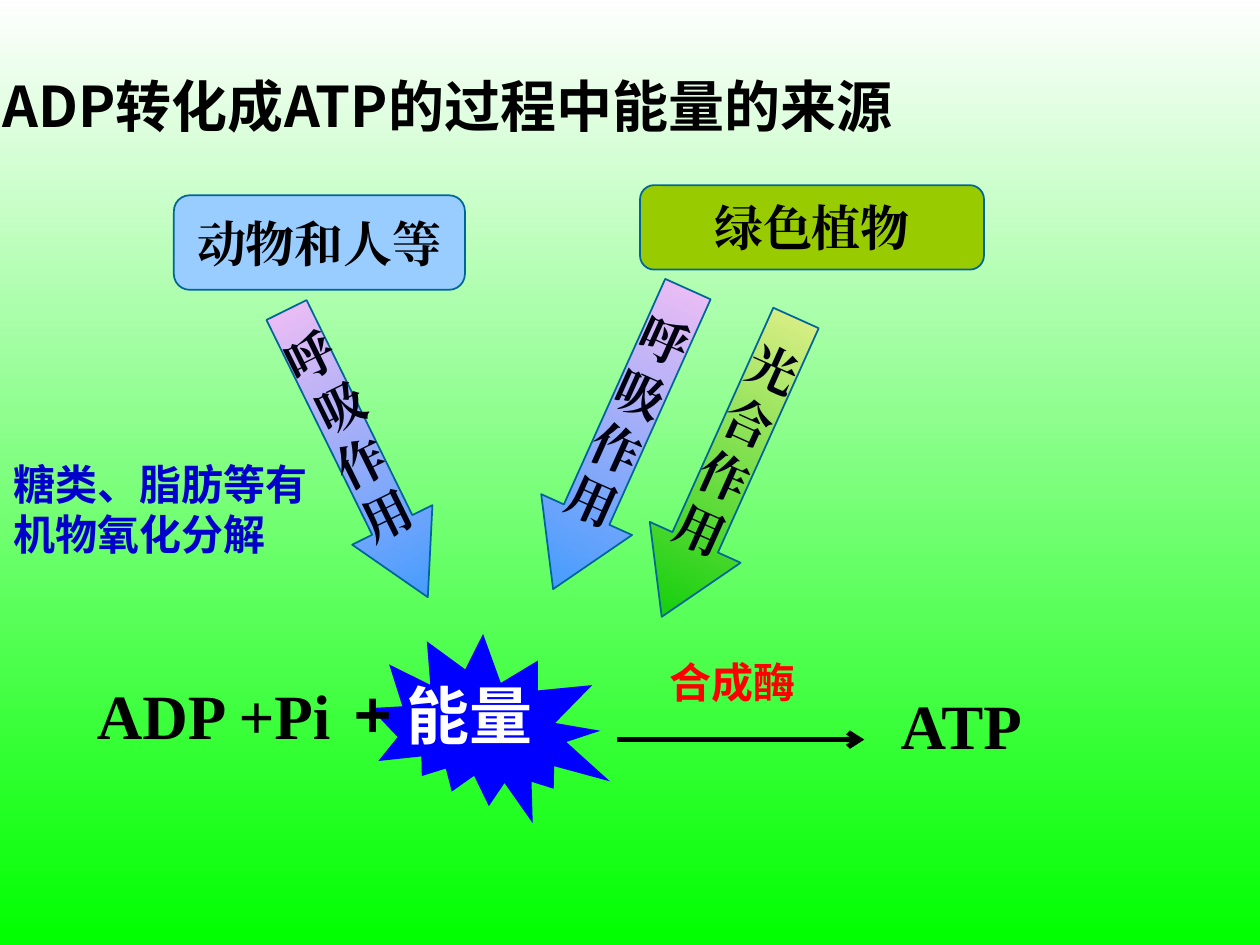
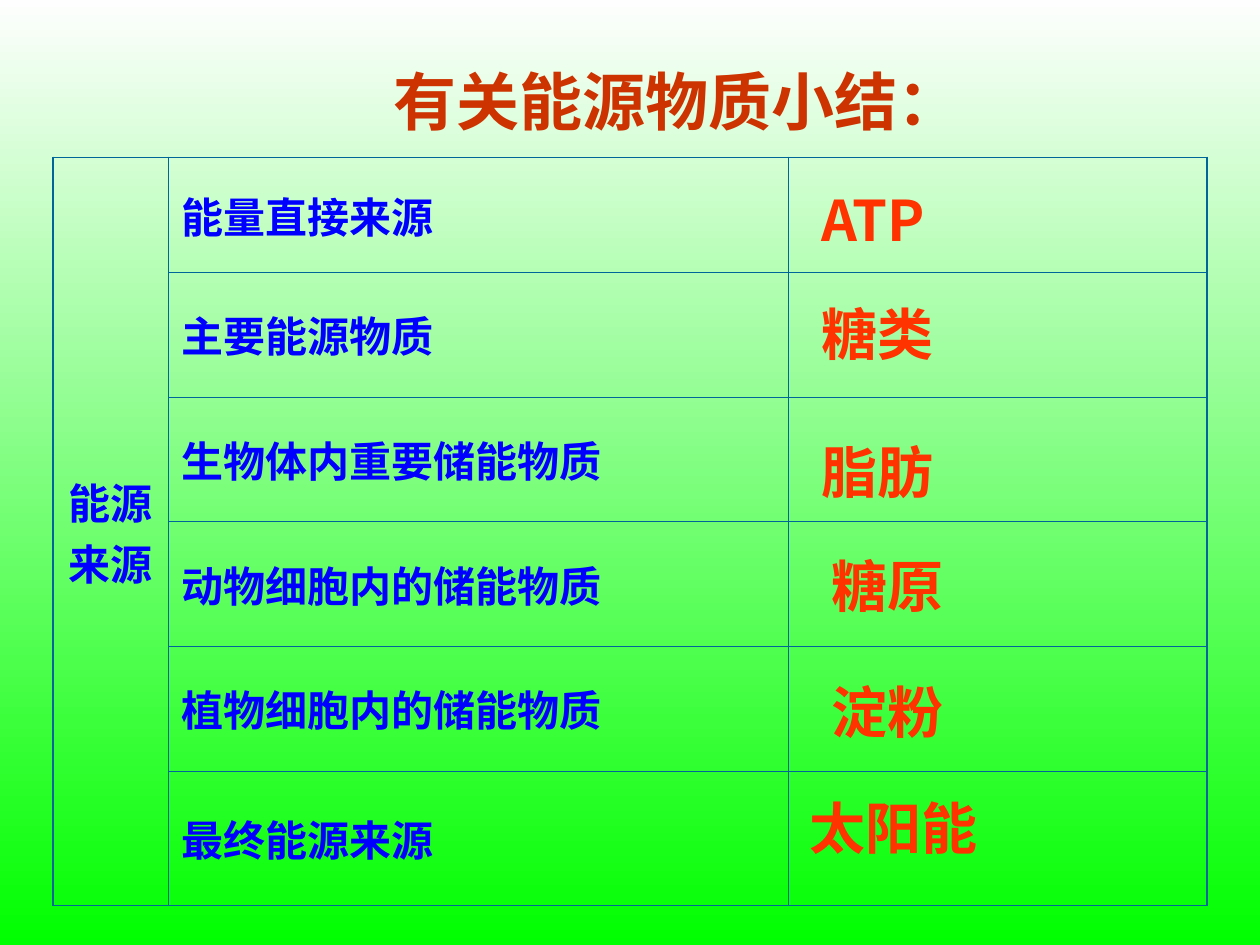
from lxml import etree
from pptx import Presentation
from pptx.dml.color import RGBColor
from pptx.enum import shapes, text
from pptx.oxml import ns
from pptx.util import Inches, Pt

COLORS = {
    "sky": "FEFEFE", "grass": "00FF00", "border": "006699",
    "animal": "99CCFF", "plant": "99CC00",
    "pink": "FCC0F3", "azure": "3399FF", "yellow": "ECF191", "leaf": "00CC00",
    "black": "000000", "ink": "000010", "white": "FFFFFF",
    "energy": "0000FF", "note": "0000CC", "enzyme": "FF0000",
    "summary": "CC3300", "answer": "FF3300",
}
SERIF, SANS, PLAIN, NOTE_FONT = "Times New Roman", "Noto Sans CJK SC", "Arial", "DejaVu Sans"
LEFT, CENTER = text.PP_ALIGN.LEFT, text.PP_ALIGN.CENTER
TOP, MIDDLE = text.MSO_ANCHOR.TOP, text.MSO_ANCHOR.MIDDLE
OUTER_WIDTH, INNER_WIDTH = 1.08, 0.45


def color(name):
    return RGBColor.from_string(COLORS[name])


def add_child(parent, tag, **attributes):
    return etree.SubElement(parent, ns.qn(tag), **attributes)


def add_run(paragraph, content, size, font, ink):
    run = paragraph.add_run()
    run.text = content
    run.font.size = Pt(size)
    run.font.bold = True
    run.font.color.rgb = color(ink)
    run.font.name = font
    add_child(run.font._element, "a:ea", typeface=font)


def write(frame, content, size=24, font=SANS, ink="black", align=LEFT,
          anchor=TOP, wrap=True, grow=False):
    frame.word_wrap = wrap
    frame.vertical_anchor = anchor
    frame.auto_size = text.MSO_AUTO_SIZE.SHAPE_TO_FIT_TEXT if grow else text.MSO_AUTO_SIZE.NONE
    for index, line in enumerate(content.split("\n")):
        paragraph = frame.add_paragraph() if index else frame.paragraphs[0]
        paragraph.alignment = align
        add_run(paragraph, line, size, font, ink)


def paint_gradient(fill, start, end):
    fill.gradient()
    fill.gradient_angle = 270
    for stop, name in zip(fill.gradient_stops, (start, end)):
        stop.color.rgb = color(name)


def add_slide(presentation, title, box, **style):
    slide = presentation.slides.add_slide(presentation.slide_layouts[5])
    paint_gradient(slide.background.fill, "sky", "grass")
    place = slide.shapes.title
    place.left, place.top, place.width, place.height = map(Inches, box)
    write(place.text_frame, title, **style)
    return slide


def add_text(slide, content, box, **style):
    shape = slide.shapes.add_textbox(*map(Inches, box))
    write(shape.text_frame, content, grow=True, **style)
    return shape


def add_figure(slide, kind, box, fill, outline="border", rotation=0):
    shape = slide.shapes.add_shape(kind, *map(Inches, box))
    shape.shadow.inherit = False
    shape.rotation = rotation
    if isinstance(fill, tuple):
        paint_gradient(shape.fill, *fill)
    else:
        shape.fill.solid()
        shape.fill.fore_color.rgb = color(fill)
    if outline:
        shape.line.color.rgb = color(outline)
        shape.line.width = Pt(1)
    else:
        shape.line.fill.background()
    return shape


def add_organism(slide, name, box, fill):
    shape = add_figure(slide, shapes.MSO_SHAPE.ROUNDED_RECTANGLE, box, fill)
    write(shape.text_frame, name, size=28, font=SERIF, align=CENTER, anchor=MIDDLE, wrap=False)


def add_process_arrow(slide, process, box, rotation, head, fill):
    shape = add_figure(slide, shapes.MSO_SHAPE.DOWN_ARROW, box, fill, rotation=rotation)
    shape.adjustments[1] = head
    write(shape.text_frame, process, size=28, font=SERIF, ink="ink",
          align=CENTER, anchor=MIDDLE, wrap=False)


def add_reaction_arrow(slide, start, end):
    connector = slide.shapes.add_connector(
        shapes.MSO_CONNECTOR.STRAIGHT, *map(Inches, start + end))
    connector.line.color.rgb = color("black")
    connector.line.width = Pt(3)
    add_child(connector.line._get_or_add_ln(), "a:tailEnd", type="arrow")
    add_child(connector._element.spPr, "a:effectLst")


def set_borders(cell, widths):
    properties = cell._tc.get_or_add_tcPr()
    for side, width in widths.items():
        line = add_child(properties, f"a:ln{side}", w=str(Pt(width)))
        fill = add_child(line, "a:solidFill")
        add_child(fill, "a:srgbClr", val=COLORS["border"])
    cell.fill.background()


def add_source_table(slide, heading, sources):
    widths, heights = (0.92, 4.92, 3.32), [0.91] + [0.99] * (len(sources) - 1)
    table = slide.shapes.add_table(
        len(heights), len(widths), Inches(0.42), Inches(1.25),
        Inches(sum(widths)), Inches(sum(heights))).table
    table.first_row = table.horz_banding = False
    for column, width in zip(table.columns, widths):
        column.width = Inches(width)
    last_row, last_column = len(heights) - 1, len(widths) - 1
    for row, height in enumerate(heights):
        table.rows[row].height = Inches(height)
        for column in range(len(widths)):
            edges = {"L": column == 0, "R": column == last_column,
                     "T": row == 0, "B": row == last_row}
            set_borders(table.cell(row, column), {
                side: OUTER_WIDTH if outer else INNER_WIDTH for side, outer in edges.items()})
        write_cell(table.cell(row, 1), sources[row])
    table.cell(0, 0).merge(table.cell(last_row, 0))
    write_cell(table.cell(0, 0), heading, CENTER)


def write_cell(cell, content, align=LEFT):
    cell.vertical_anchor = MIDDLE
    paragraph = cell.text_frame.paragraphs[0]
    paragraph.alignment = align
    add_run(paragraph, content, 24, SANS, "energy")


def build_energy_slide(presentation):
    slide = add_slide(presentation, "ADP转化成ATP的过程中能量的来源", (-0.08, 0.52, 7.62, 0.64),
                      size=32, wrap=False, grow=True)
    add_organism(slide, "动物和人等", (1.38, 1.55, 2.31, 0.75), "animal")
    add_organism(slide, "绿色植物", (5.08, 1.47, 2.73, 0.67), "plant")

    respiration, photosynthesis = ("pink", "azure"), ("yellow", "leaf")
    add_process_arrow(slide, "呼\n 吸\n作\n用", (2.48, 2.33, 0.71, 2.54), 333.8, 0.9, respiration)
    add_process_arrow(slide, "呼\n吸\n作\n用", (4.53, 2.18, 0.79, 2.61), 24.2, 0.82, respiration)
    add_process_arrow(slide, "光\n合\n作\n用", (5.39, 2.41, 0.79, 2.6), 24.2, 0.82, photosynthesis)

    add_text(slide, "ADP +Pi", (0.67, 5.32, 2.4, 0.7), size=36, font=SERIF)
    add_figure(slide, shapes.MSO_SHAPE.EXPLOSION2, (2.95, 5.01, 1.93, 1.57), "energy",
               outline=None, rotation=41.1)
    energy = add_text(slide, "+ ", (2.4, 5.32, 2.24, 0.7), size=36, align=CENTER)
    add_run(energy.text_frame.paragraphs[0], "能量", 36, SANS, "white")
    add_text(slide, "ATP", (7.05, 5.4, 1.32, 0.7), size=36, font=SERIF, wrap=False)
    add_reaction_arrow(slide, (4.9, 5.87), (6.86, 5.87))
    add_text(slide, " 合成酶", (5.14, 5.16, 1.48, 0.5), ink="enzyme")
    add_text(slide, "糖类、脂肪等有机物氧化分解", (0.01, 3.59, 2.58, 0.9), font=NOTE_FONT, ink="note")


def build_summary_slide(presentation):
    slide = add_slide(presentation, "有关能源物质小结：", (2.08, 0.42, 6.58, 0.75),
                      size=36, font=PLAIN, ink="summary", align=CENTER, anchor=MIDDLE)
    add_source_table(slide, "能源来源", [
        "能量直接来源", "主要能源物质", "生物体内重要储能物质",
        "动物细胞内的储能物质", "植物细胞内的储能物质", "最终能源来源"])
    answers = [
        ("ATP", 6.42, 1.42, 2.33), ("糖类", 6.42, 2.33, 2.33), ("脂肪", 6.42, 3.42, 2.33),
        ("糖原", 6.5, 4.33, 2.42), ("淀粉", 6.5, 5.33, 2.67), ("太阳能", 6.33, 6.25, 3.08)]
    for answer, left, top, width in answers:
        add_text(slide, answer, (left, top, width, 0.64), size=32, ink="answer")


def main():
    presentation = Presentation()
    presentation.slide_width, presentation.slide_height = Inches(10), Inches(7.5)
    build_energy_slide(presentation)
    build_summary_slide(presentation)
    presentation.save("out.pptx")


if __name__ == "__main__":
    main()
